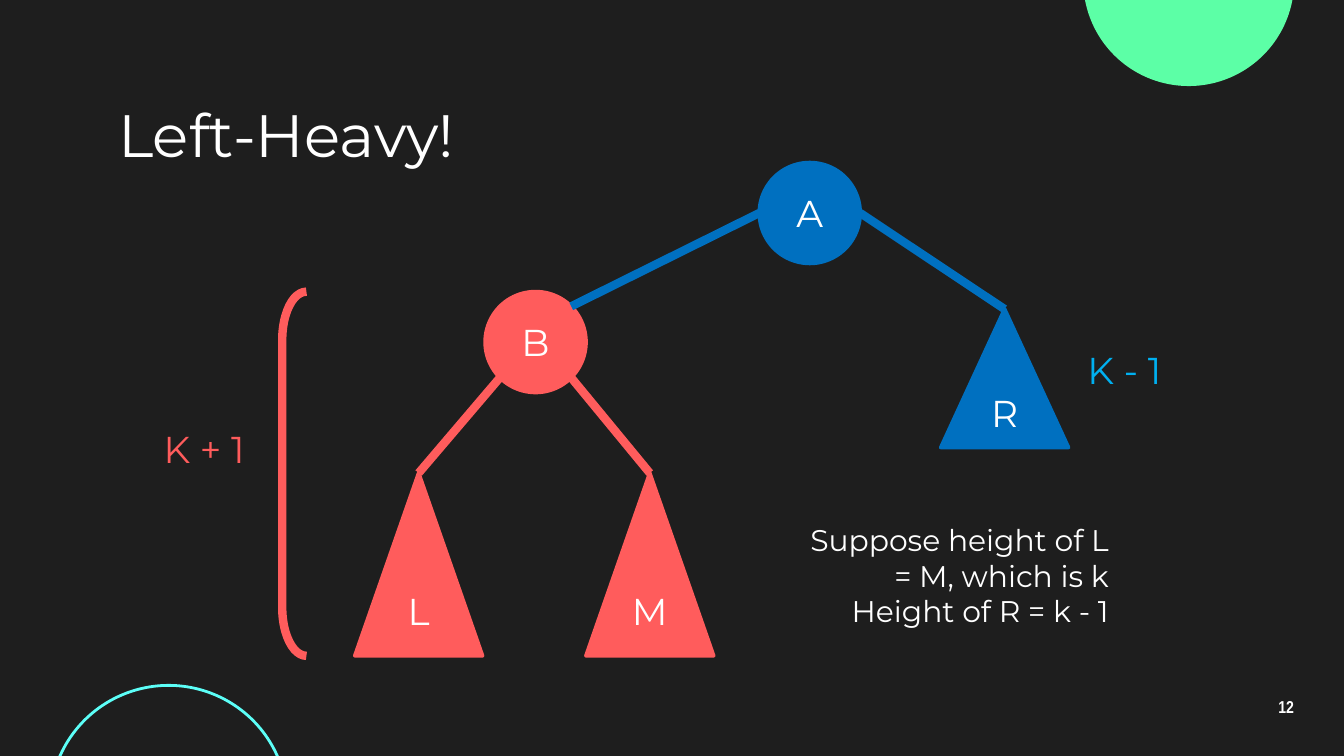
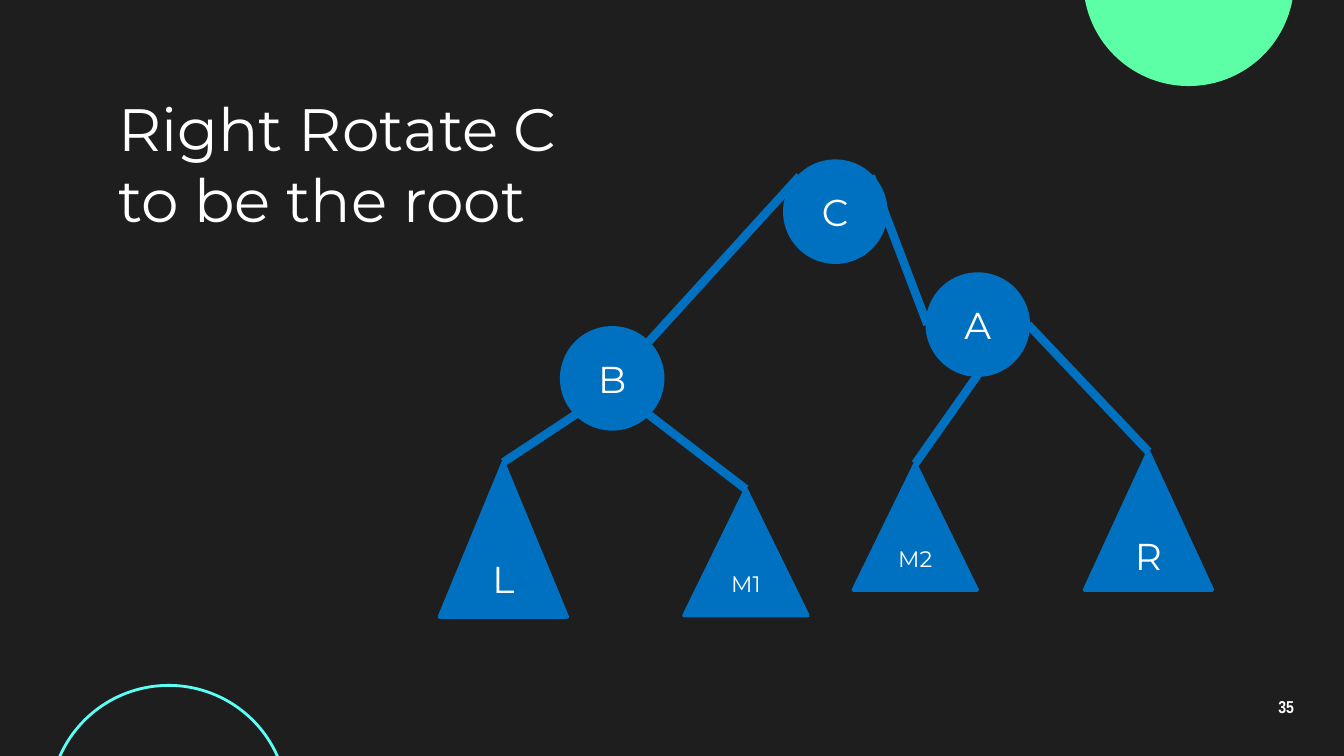
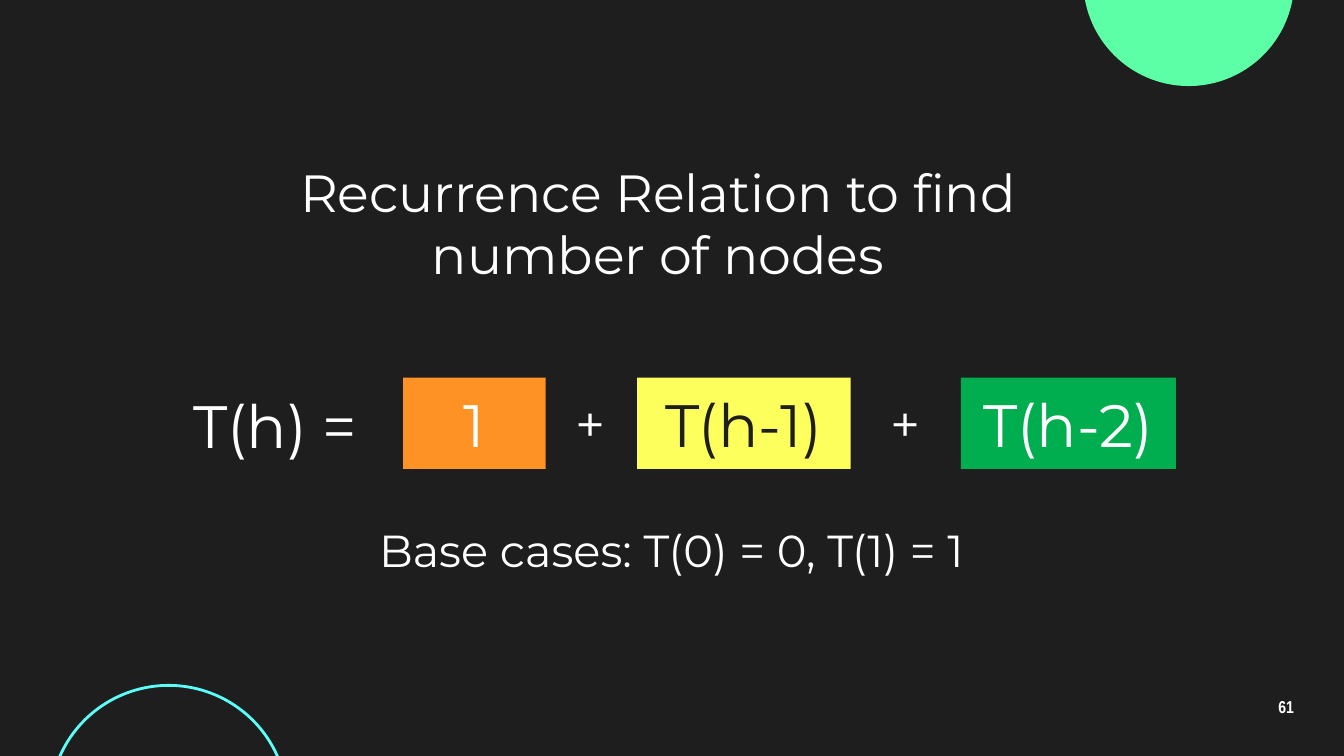
"""Builds three slides on AVL trees: left-heavy case, right rotation and node recurrence."""
from math import sqrt

from lxml import etree
from pptx import Presentation
from pptx.dml.color import RGBColor
from pptx.enum.shapes import MSO_CONNECTOR, MSO_SHAPE
from pptx.enum.text import MSO_ANCHOR, MSO_AUTO_SIZE, PP_ALIGN
from pptx.oxml.ns import qn
from pptx.util import Inches, Pt

STRAIGHT = MSO_CONNECTOR.STRAIGHT
ELLIPSE, TRIANGLE = MSO_SHAPE.OVAL, MSO_SHAPE.ISOSCELES_TRIANGLE
RECTANGLE, BRACKET = MSO_SHAPE.RECTANGLE, MSO_SHAPE.LEFT_BRACKET
TOP, MIDDLE = MSO_ANCHOR.TOP, MSO_ANCHOR.MIDDLE
LEFT, CENTER, RIGHT = PP_ALIGN.LEFT, PP_ALIGN.CENTER, PP_ALIGN.RIGHT
NO_AUTOFIT = MSO_AUTO_SIZE.NONE
TITLE_ONLY, BLANK = 5, 6

DARK, WHITE, MINT, AQUA = "1E1E1E", "FFFFFF", "5CFFA6", "5CFFF8"
RED, BLUE, SKY = "FF5C5C", "0070C0", "00B0F0"
ORANGE, YELLOW, GREEN = "FF9225", "FDFF5C", "00AE4F"
BODY_FONT, NUMBER_FONT = "Montserrat", "Arial Narrow"

SLIDE_WIDTH = Inches(10)
SLIDE_HEIGHT = SLIDE_WIDTH * 9 // 16
NUMBER_BOX = (9.27, 5.1, 0.6, 0.34)
NODE_SIZE, EDGE_WIDTH = 0.75, 4.5
NEAR, FAR = 0.5 - sqrt(0.125), 0.5 + sqrt(0.125)
SITES = {
    "top": (0.5, 0), "bottom": (0.5, 1), "left": (0, 0.5), "right": (1, 0.5),
    "top left": (NEAR, NEAR), "top right": (FAR, NEAR),
    "bottom left": (NEAR, FAR), "bottom right": (FAR, FAR),
}

TREES = [
    {
        "number": "12",
        "title": ("Left-Heavy!", (0.78, 0.74, 8.44, 0.51)),
        "nodes": {"B": (3.61, 2.17, RED), "A": (5.65, 1.21, BLUE)},
        "subtrees": {
            "L": (2.64, 3.52, 0.95, 1.36, RED, 20),
            "M": (4.36, 3.52, 0.95, 1.36, RED, 20),
            "R": (7, 2.3, 0.95, 1.03, BLUE, 20),
        },
        "edges": [
            ("A", "left", "B", "top right", BLUE),
            ("B", "bottom left", "L", "top", RED),
            ("B", "bottom right", "M", "top", RED),
            ("A", "right", "R", "top", BLUE),
        ],
        "brackets": [(2.1, 2.17, 0.18, 2.71)],
        "remarks": [
            (["Suppose height of L = M, which is k", "Height of R = k - 1"],
             (5.86, 3.78, 2.49, 0.51), 16, WHITE),
            (["K + 1"], (1.08, 3.07, 0.84, 0.51), 20, RED),
            (["K - 1"], (7.9, 2.48, 0.84, 0.51), 20, SKY),
        ],
    },
    {
        "number": "35",
        "title": ("Right Rotate C to be the root", (0.78, 0.96, 3.88, 0.51)),
        "nodes": {"B": (4.18, 2.44, BLUE), "A": (6.9, 2.04, BLUE), "C": (5.84, 1.2, BLUE)},
        "subtrees": {
            "L": (3.27, 3.44, 0.95, 1.15, BLUE, 20),
            "M1": (5.09, 3.64, 0.92, 0.94, BLUE, 12),
            "R": (8.07, 3.36, 0.95, 1.03, BLUE, 20),
            "M2": (6.35, 3.45, 0.92, 0.94, BLUE, 12),
        },
        "edges": [
            ("C", "top right", "A", "left", BLUE),
            ("B", "bottom left", "L", "top", BLUE),
            ("C", "top left", "B", "top right", BLUE),
            ("A", "right", "R", "top", BLUE),
            ("A", "bottom", "M2", "top", BLUE),
            ("B", "bottom right", "M1", "top", BLUE),
        ],
        "brackets": [],
        "remarks": [],
    },
]

RECURRENCE = {
    "number": "61",
    "terms": [
        ("T(h-1)", 4.74, 1.59, YELLOW, DARK),
        ("T(h-2)", 7.15, 1.6, GREEN, WHITE),
        ("1", 3, 1.06, ORANGE, WHITE),
    ],
    "statements": [
        ("T(h) =", (1.25, 2.79, 1.6, 0.75), 32),
        ("+", (4.1, 2.81, 0.59, 0.75), 28),
        ("+", (6.44, 2.81, 0.59, 0.75), 28),
        ("Recurrence Relation to find number of nodes", (2.06, 1.09, 5.67, 0.75), 28),
        ("Base cases: T(0) = 0, T(1) = 1", (1.82, 3.79, 6.35, 0.75), 24),
    ],
}


def rgb(color):
    return RGBColor.from_string(color)


def inches(values):
    return [Inches(value) for value in values]


def set_all(target, values):
    for name, value in values.items():
        setattr(target, name, value)


def write(frame, lines, size, color=WHITE, align=CENTER, font=BODY_FONT, bold=False, spacing=None):
    frame.text = "\n".join(lines)
    for paragraph in frame.paragraphs:
        set_all(paragraph, {"alignment": align, "line_spacing": spacing})
        set_all(paragraph.runs[0].font, {"name": font, "size": Pt(size), "bold": bold})
        paragraph.runs[0].font.color.rgb = rgb(color)


def frame_box(frame, anchor):
    inset = Inches(0.1)
    set_all(frame, {
        "word_wrap": True, "auto_size": NO_AUTOFIT, "vertical_anchor": anchor,
        "margin_left": inset, "margin_right": inset,
        "margin_top": inset, "margin_bottom": inset,
    })


def add_text(slide, lines, box, size, anchor=TOP, **style):
    frame = slide.shapes.add_textbox(*inches(box)).text_frame
    frame_box(frame, anchor)
    write(frame, lines, size, **style)


def add_outline(slide, preset, box, fill=None, line=None, width=2):
    shape = slide.shapes.add_shape(preset, *inches(box))
    shape.shadow.inherit = False
    for part, color in ((shape.fill, fill), (shape.line.fill, line)):
        if color:
            part.solid()
            part.fore_color.rgb = rgb(color)
        else:
            part.background()
    if line:
        shape.line.width = Pt(width)
    return shape


def add_edge(slide, start, end, color):
    edge = slide.shapes.add_connector(STRAIGHT, *inches(start + end))
    edge.line.color.rgb = rgb(color)
    edge.line.width = Pt(EDGE_WIDTH)
    etree.SubElement(edge.element.spPr, qn("a:effectLst"))


def site(box, place):
    left, top, width, height = box
    across, down = SITES[place]
    return left + across * width, top + down * height


def add_slide(deck, layout, number):
    slide = deck.slides.add_slide(deck.slide_layouts[layout])
    add_text(slide, [number], NUMBER_BOX, 9.2, MIDDLE, font=NUMBER_FONT, bold=True, spacing=0.9)
    return slide


def decorate_master(deck, slide):
    master = deck.slide_master
    master.background.fill.solid()
    master.background.fill.fore_color.rgb = rgb(DARK)
    circles = [
        add_outline(slide, ELLIPSE, (8.06, -0.93, 1.57, 1.57), fill=MINT),
        add_outline(slide, ELLIPSE, (0.37, 5.1, 1.77, 1.77), line=AQUA, width=1.5),
    ]
    for number, circle in enumerate(circles, 20):
        circle.element.nvSpPr.cNvPr.set("id", str(number))
        master.shapes.element.append(circle.element)


def add_tree(deck, tree):
    slide = add_slide(deck, TITLE_ONLY, tree["number"])
    heading, heading_box = tree["title"]
    title = slide.shapes.title
    set_all(title, dict(zip(("left", "top", "width", "height"), inches(heading_box))))
    frame_box(title.text_frame, MIDDLE)
    write(title.text_frame, [heading], 32, align=LEFT)

    parts = [(label, ELLIPSE, (left, top, NODE_SIZE, NODE_SIZE), color, 20)
             for label, (left, top, color) in tree["nodes"].items()]
    parts += [(label, TRIANGLE, tuple(box), color, size)
              for label, (*box, color, size) in tree["subtrees"].items()]
    boxes = {}
    for label, preset, box, color, size in parts:
        boxes[label] = box
        part = add_outline(slide, preset, box, color, color)
        part.text_frame.vertical_anchor = MIDDLE
        write(part.text_frame, [label], size)

    for parent, parent_site, child, child_site, color in tree["edges"]:
        add_edge(slide, site(boxes[parent], parent_site), site(boxes[child], child_site), color)
    for box in tree["brackets"]:
        add_outline(slide, BRACKET, box, line=RED, width=EDGE_WIDTH).adjustments[0] = 1.99
    for lines, box, size, color in tree["remarks"]:
        add_text(slide, lines, box, size, color=color, align=RIGHT)
    return slide


def add_recurrence(deck, recurrence):
    slide = add_slide(deck, BLANK, recurrence["number"])
    for term, left, width, fill, color in recurrence["terms"]:
        block = add_outline(slide, RECTANGLE, (left, 2.81, width, 0.68), fill)
        block.text_frame.vertical_anchor = MIDDLE
        write(block.text_frame, [term], 32, color)
    for statement, box, size in recurrence["statements"]:
        add_text(slide, [statement], box, size)


def main():
    deck = Presentation()
    set_all(deck, {"slide_width": SLIDE_WIDTH, "slide_height": SLIDE_HEIGHT})
    tree_slides = [add_tree(deck, tree) for tree in TREES]
    decorate_master(deck, tree_slides[0])
    add_recurrence(deck, RECURRENCE)
    deck.save("out.pptx")


if __name__ == "__main__":
    main()
